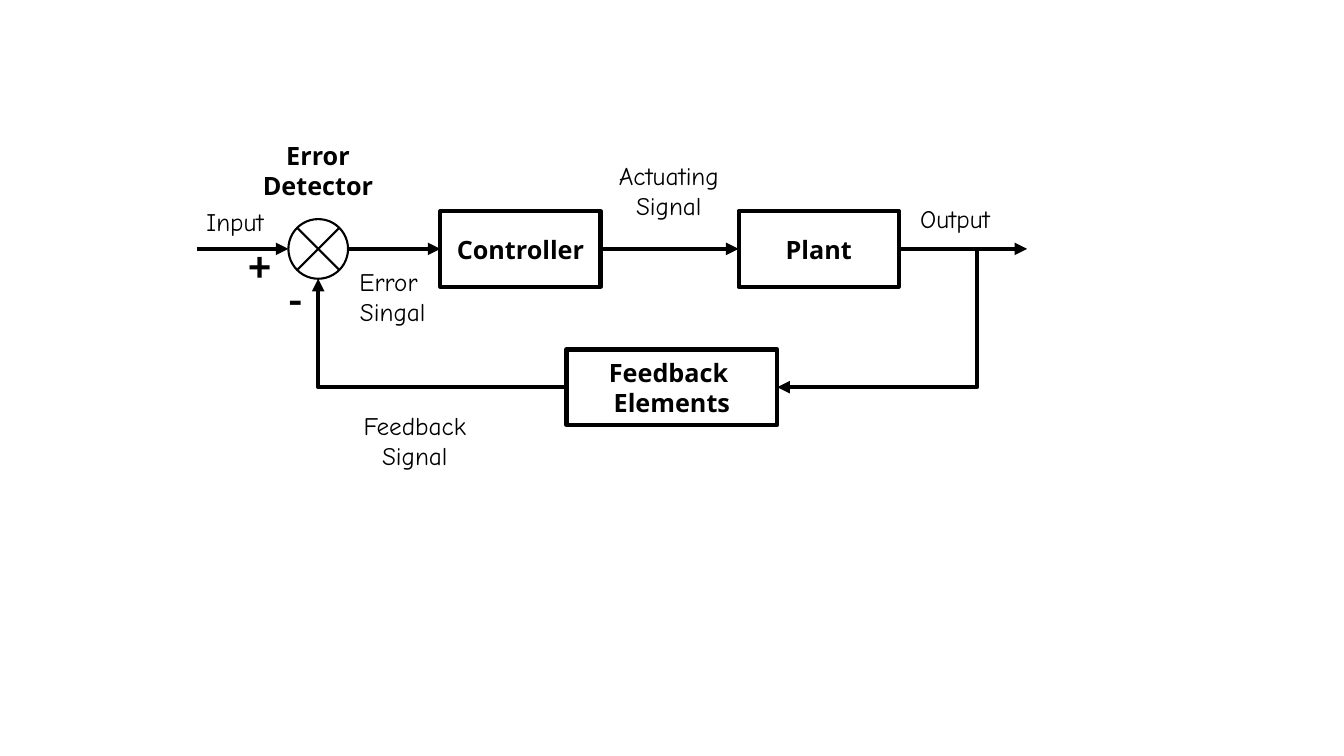
"""Build a slide with the block diagram of a closed-loop control system."""
import math

import pptx
import pptx.dml.color
import pptx.enum.shapes
import pptx.enum.text
import pptx.oxml.ns
import pptx.oxml.xmlchemy
import pptx.util

Pt = pptx.util.Pt
BLACK = pptx.dml.color.RGBColor(0x00, 0x00, 0x00)
WHITE = pptx.dml.color.RGBColor(0xFF, 0xFF, 0xFF)
SHAPE = pptx.enum.shapes.MSO_SHAPE
CONNECTOR = pptx.enum.shapes.MSO_CONNECTOR
LEFT = pptx.enum.text.PP_ALIGN.LEFT
CENTER = pptx.enum.text.PP_ALIGN.CENTER

LABEL_FONT = "Comic Neue"
BLOCK_FONT = "Noto Sans"
SIGN_FONT = "Noto Sans CJK SC"

FORWARD_Y = 177.8
FEEDBACK_Y = 276.6
BLOCK_HEIGHT = 54
DETECTOR_X = 227.3
RADIUS = 21.3
BRANCH_X = 700.6
BRANCH_BEND = 0.018


def set_text(sp, text, font, size, bold, align):
    tf = sp.text_frame
    tf.text = text
    for p in tf.paragraphs:
        p.alignment = align
        for r in p.runs:
            r.font.name = font
            r.font.size = Pt(size)
            r.font.bold = bold
            r.font.color.rgb = BLACK


def style_outline(sp, width):
    sp.shadow.inherit = False
    sp.fill.solid()
    sp.fill.fore_color.rgb = WHITE
    sp.line.color.rgb = BLACK
    sp.line.width = Pt(width)


def add_block(s, text, left, middle, width):
    sp = s.shapes.add_shape(
        SHAPE.RECTANGLE, Pt(left), Pt(middle - BLOCK_HEIGHT / 2), Pt(width), Pt(BLOCK_HEIGHT)
    )
    style_outline(sp, 3)
    set_text(sp, text, BLOCK_FONT, 18, True, CENTER)
    sp.text_frame.vertical_anchor = pptx.enum.text.MSO_ANCHOR.MIDDLE
    return sp


def add_label(s, text, left, top, width, height, font=LABEL_FONT, size=18, bold=False, align=CENTER):
    sp = s.shapes.add_textbox(Pt(left), Pt(top), Pt(width), Pt(height))
    sp.text_frame.word_wrap = False
    sp.text_frame.auto_size = pptx.enum.text.MSO_AUTO_SIZE.SHAPE_TO_FIT_TEXT
    set_text(sp, text, font, size, bold, align)


def add_child(parent, tag, **attributes):
    child = pptx.oxml.xmlchemy.OxmlElement(tag)
    for name, value in attributes.items():
        child.set(name, value)
    parent.append(child)


def add_line(shapes, start, end, width, kind=CONNECTOR.STRAIGHT):
    line = shapes.add_connector(kind, *(Pt(v) for v in (*start, *end)))
    line.line.color.rgb = BLACK
    line.line.width = Pt(width)
    add_child(line._element.spPr, "a:effectLst")
    return line


def add_arrow(s, start, end, kind=CONNECTOR.STRAIGHT, source=None, target=None):
    arrow = add_line(s.shapes, start, end, 3, kind)
    ln = arrow._element.spPr.find(pptx.oxml.ns.qn("a:ln"))
    add_child(ln, "a:tailEnd", type="triangle")
    if source is not None:
        arrow.begin_connect(source, 3)
    if target is not None:
        arrow.end_connect(target, 1)
    return arrow


def set_bend(arrow, preset, ratio=None):
    geom = arrow._element.spPr.find(pptx.oxml.ns.qn("a:prstGeom"))
    geom.set("prst", preset)
    if ratio is not None:
        guides = geom.find(pptx.oxml.ns.qn("a:avLst"))
        add_child(guides, "a:gd", name="adj1", fmla=f"val {round(ratio * 100000)}")


def add_detector(s):
    group = s.shapes.add_group_shape()
    circle = group.shapes.add_shape(
        SHAPE.OVAL, Pt(DETECTOR_X - RADIUS), Pt(FORWARD_Y - RADIUS), Pt(2 * RADIUS), Pt(2 * RADIUS)
    )
    style_outline(circle, 1.5)
    d = RADIUS * math.sqrt(0.5)
    for dx in (d, -d):
        start = (DETECTOR_X + dx, FORWARD_Y - d)
        end = (DETECTOR_X - dx, FORWARD_Y + d)
        add_line(group.shapes, start, end, 1.5)


def main():
    prs = pptx.Presentation()
    prs.slide_width, prs.slide_height = Pt(960), Pt(540)
    s = prs.slides.add_slide(prs.slide_layouts[6])

    add_detector(s)
    controller = add_block(s, "Controller", 314.6, FORWARD_Y, 114.4)
    plant = add_block(s, "Plant", 527.6, FORWARD_Y, 114.4)
    feedback = add_block(s, "Feedback \nElements", 404.6, FEEDBACK_Y, 150.6)

    add_arrow(s, (140.4, FORWARD_Y), (DETECTOR_X - RADIUS, FORWARD_Y))
    add_arrow(s, (DETECTOR_X + RADIUS, FORWARD_Y), (314.6, FORWARD_Y), target=controller)
    add_arrow(s, (429, FORWARD_Y), (527.6, FORWARD_Y), source=controller, target=plant)
    add_arrow(s, (642, FORWARD_Y), (733.7, FORWARD_Y), source=plant)

    feedback_right = (feedback.left + feedback.width) / Pt(1)
    branch = add_arrow(s, (BRANCH_X, FORWARD_Y), (feedback_right, FEEDBACK_Y), CONNECTOR.ELBOW)
    set_bend(branch, "bentConnector3", BRANCH_BEND)
    back = add_arrow(
        s, (feedback.left / Pt(1), FEEDBACK_Y), (DETECTOR_X, FORWARD_Y + RADIUS), CONNECTOR.ELBOW
    )
    set_bend(back, "bentConnector2")

    add_label(s, "Input", 140.4, 144, 61.9, 28.8, align=LEFT)
    add_label(s, "Error \nSingal", 247, 186.5, 67, 51)
    add_label(s, "Actuating\nSignal", 429.1, 110.9, 97.2, 51)
    add_label(s, "Output", 650.2, 141.8, 74.9, 28.8, align=LEFT)
    add_label(s, "Feedback\nSignal", 248.4, 289.4, 95.8, 51)
    add_label(s, "Error\nDetector", 180, 96.5, 94.3, 51, BLOCK_FONT, bold=True)
    add_label(s, "+", 170.6, 170.6, 34.6, 41, SIGN_FONT, 28, True, LEFT)
    add_label(s, "-", 198.7, 193, 28.8, 41, SIGN_FONT, 28, True, LEFT)

    prs.save("out.pptx")


if __name__ == "__main__":
    main()
